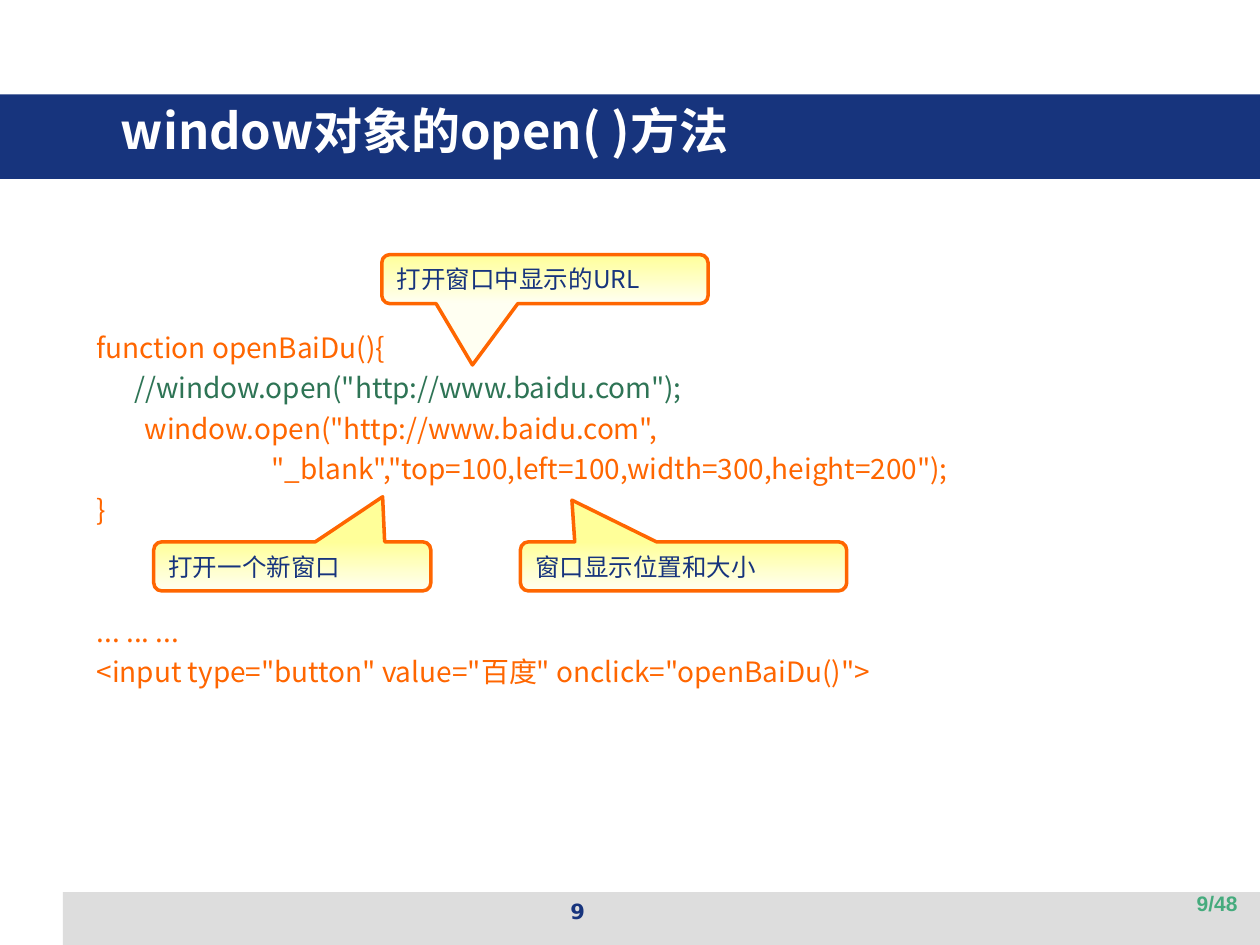
import pptx
import pptx.dml.color
import pptx.enum.shapes
import pptx.enum.text
import pptx.oxml.ns
import pptx.util
from pptx.util import Inches

NAVY = "17347D"
WHITE = "FFFFFF"
ORANGE = "FF6600"
GREEN = "2E7455"
SANS = "Noto Sans CJK SC"
SHAPE = pptx.enum.shapes.MSO_SHAPE
ALIGN = pptx.enum.text.PP_ALIGN
ANCHOR = pptx.enum.text.MSO_ANCHOR

CODE_LINES = [
    ("function openBaiDu(){", ORANGE, 0),
    ('      //window.open("http://www.baidu.com");', GREEN, 4),
    ('\twindow.open("http://www.baidu.com",', ORANGE, 4),
    ('                            "_blank","top=100,left=100,width=300,height=200");', ORANGE, 4),
    ("}", ORANGE, 4),
    ("... ... ...", ORANGE, 50.4),
    ('<input type="button" value="百度" onclick="openBaiDu()">', ORANGE, 4),
]

CALLOUTS = [
    ("打开窗口中显示的URL", 3.03, 2.02, 2.59, (-0.222, 1.747)),
    ("打开一个新窗口", 1.22, 4.3, 2.2, (0.326, -1.417)),
    ("窗口显示位置和大小", 4.13, 4.3, 2.59, (-0.342, -1.348)),
]


def rgb(value):
    return pptx.dml.color.RGBColor.from_string(value)


def format_runs(para, size, color, font=SANS, bold=False):
    for span in para.runs:
        span.font.size = pptx.util.Pt(size)
        span.font.name = font
        span.font.bold = bold
        span.font.color.rgb = rgb(color)
        east_asian = span.font._element.makeelement(
            pptx.oxml.ns.qn("a:ea"), {"typeface": font})
        span.font._element.append(east_asian)


def add_band(page, left, top, width, height, color):
    band = page.shapes.add_shape(
        SHAPE.RECTANGLE, Inches(left), Inches(top), Inches(width), Inches(height))
    band.shadow.inherit = False
    band.fill.solid()
    band.fill.fore_color.rgb = rgb(color)
    band.line.fill.background()


def set_title(page, text):
    title = page.shapes.title
    title.left, title.top = Inches(0.86), Inches(0.76)
    title.width, title.height = Inches(9), Inches(0.63)
    frame = title.text_frame
    frame.text = text
    frame.margin_top = Inches(0.04)
    frame.vertical_anchor = ANCHOR.TOP
    para = frame.paragraphs[0]
    para.alignment = ALIGN.LEFT
    format_runs(para, 28, WHITE, bold=True)
    page.shapes._spTree.append(title._element)


def add_text(page, left, top, width, height):
    box = page.shapes.add_textbox(
        Inches(left), Inches(top), Inches(width), Inches(height))
    box.text_frame.word_wrap = True
    return box.text_frame


def add_footer(page, text, left, top, align, font, color):
    para = add_text(page, left, top, 2.33, 0.35).paragraphs[0]
    para.text = text
    para.alignment = align
    format_runs(para, 12, color, font, bold=True)


def add_code(page):
    frame = add_text(page, 0.67, 2.57, 8.74, 2.91)
    frame.text = "\n".join(text for text, _, _ in CODE_LINES)
    for para, (_, color, gap) in zip(frame.paragraphs, CODE_LINES):
        properties = para._p.get_or_add_pPr()
        properties.set("marL", str(Inches(0.38)))
        properties.set("indent", str(Inches(-0.38)))
        para.space_before = pptx.util.Pt(gap)
        format_runs(para, 16, color)


def add_callout(page, text, left, top, width, tip):
    callout = page.shapes.add_shape(
        SHAPE.ROUNDED_RECTANGULAR_CALLOUT,
        Inches(left), Inches(top), Inches(width), Inches(0.39))
    callout.shadow.inherit = False
    callout.adjustments[0], callout.adjustments[1] = tip
    callout.fill.gradient()
    callout.fill.gradient_angle = 270
    for stop, color in zip(callout.fill.gradient_stops, ("FFFF99", "FFFFF2")):
        stop.color.rgb = rgb(color)
    callout.line.color.rgb = rgb(ORANGE)
    callout.line.width = pptx.util.Pt(2)
    frame = callout.text_frame
    frame.text = text
    frame.vertical_anchor = ANCHOR.MIDDLE
    para = frame.paragraphs[0]
    para.alignment = ALIGN.LEFT
    format_runs(para, 14, NAVY)


def main():
    deck = pptx.Presentation()
    deck.slide_width, deck.slide_height = Inches(10), Inches(7.5)
    page = deck.slides.add_slide(deck.slide_layouts[5])
    add_band(page, 0.5, 7.08, 9.5, 0.42, "DDDDDD")
    add_band(page, 0, 0.75, 10, 0.67, NAVY)
    add_footer(page, "9", 3.42, 7.08, ALIGN.CENTER, "DejaVu Sans", NAVY)
    set_title(page, "window对象的open( )方法")
    add_code(page)
    add_footer(page, "9/48", 7.59, 7.02, ALIGN.RIGHT, "Arial", "45AB7D")
    for callout in CALLOUTS:
        add_callout(page, *callout)
    deck.save("out.pptx")


if __name__ == "__main__":
    main()
